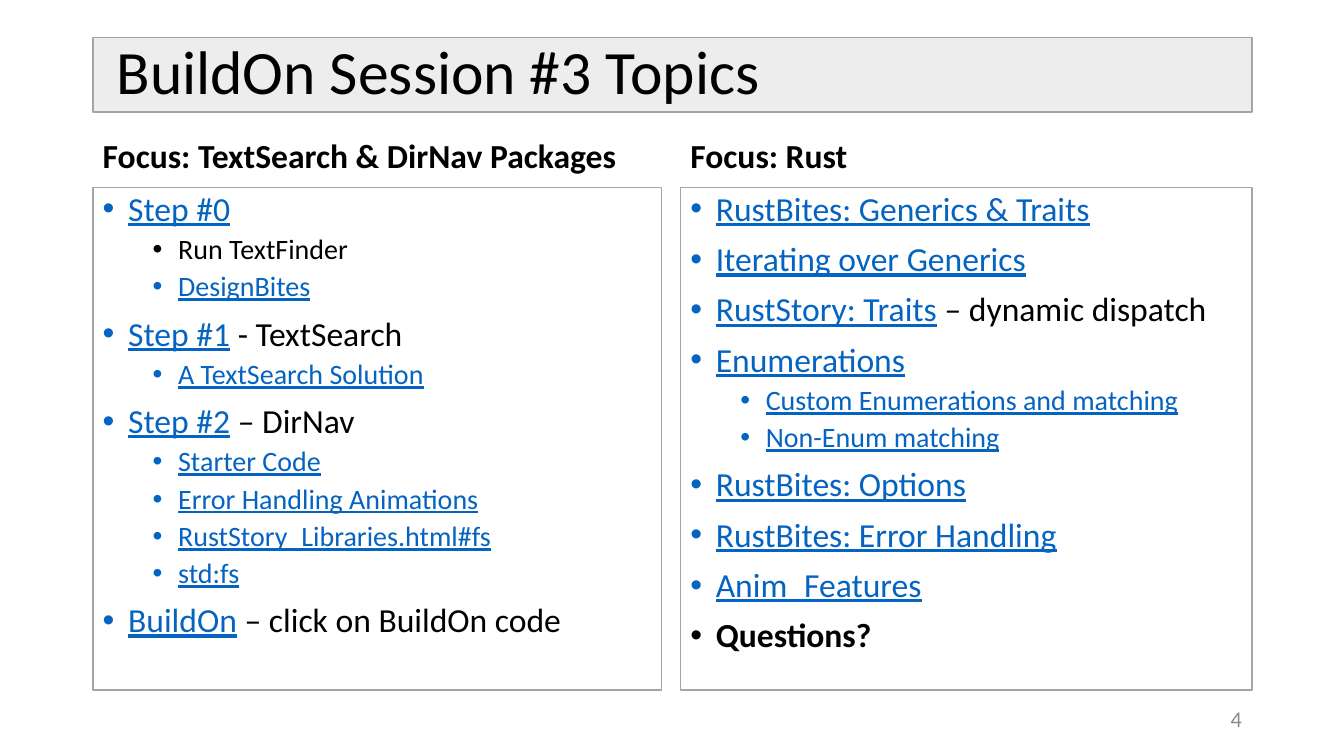
from lxml import etree
from pptx import Presentation
from pptx import util as u
from pptx.dml.color import RGBColor
from pptx.enum import shapes, text
from pptx.oxml import ns

BLACK = RGBColor(0x00, 0x00, 0x00)
WHITE = RGBColor(0xFF, 0xFF, 0xFF)
PALE = RGBColor(0xED, 0xED, 0xED)
EDGE = RGBColor(0xA5, 0xA5, 0xA5)
GRAY = RGBColor(0x8C, 0x8C, 0x8C)
BLUE = RGBColor(0x05, 0x63, 0xC1)

LEFT = [
    (0, "Step #0", ""),
    (1, "", "Run TextFinder"),
    (1, "DesignBites", ""),
    (0, "Step #1", " - TextSearch"),
    (1, "A TextSearch Solution", ""),
    (0, "Step #2", " – DirNav"),
    (1, "Starter Code", ""),
    (1, "Error Handling Animations", ""),
    (1, "RustStory_Libraries.html#fs", ""),
    (1, "std:fs", ""),
    (0, "BuildOn", " – click on BuildOn code"),
]
RIGHT = [
    (0, "RustBites: Generics & Traits", ""),
    (0, "Iterating over Generics", ""),
    (0, "RustStory: Traits", " – dynamic dispatch"),
    (0, "Enumerations", ""),
    (1, "Custom Enumerations and matching", ""),
    (1, "Non-Enum matching", ""),
    (0, "RustBites: Options", ""),
    (0, "RustBites: Error Handling", ""),
    (0, "Anim_Features", ""),
    (0, "", "Questions?"),
]
COLS = [
    (2.34, 14.33, "Focus: TextSearch & DirNav Packages", LEFT),
    (17.15, 14.4, "Focus: Rust", RIGHT),
]


class Board:
    """Hold the style and the current slide, and draw each kind of element."""

    font = "Calibri"
    sizes = (24, 20)
    gaps = (10, 5)
    steps = (0.64, 1.9)
    hang = 0.64

    def __init__(self, slide):
        self.slide = slide

    def style(self, run, size, color=BLACK, bold=False, line=False):
        font = run.font
        font.name, font.size, font.bold = self.font, u.Pt(size), bold
        font.underline = line
        font.color.rgb = color

    def frame(self, shape, anchor):
        frame = shape.text_frame
        frame.word_wrap = True
        frame.vertical_anchor = anchor
        return frame

    def panel(self, area, fill, anchor):
        box = self.slide.shapes.add_shape(
            shapes.MSO_SHAPE.RECTANGLE, *map(u.Cm, area))
        box.shadow.inherit = False
        box.fill.solid()
        box.fill.fore_color.rgb = fill
        box.line.color.rgb = EDGE
        box.line.width = u.Pt(1)
        return self.frame(box, anchor)

    def label(self, area, anchor):
        box = self.slide.shapes.add_textbox(*map(u.Cm, area))
        return self.frame(box, anchor)

    def words(self, frame, line, size, color=BLACK, bold=False,
              align=text.PP_ALIGN.LEFT):
        frame.text = line
        para = frame.paragraphs[0]
        para.alignment = align
        para.line_spacing = 0.9
        self.style(para.runs[0], size, color, bold)

    def bullet(self, para, level):
        para.level = level
        para.alignment = text.PP_ALIGN.LEFT
        para.line_spacing = 0.9
        para.space_before = u.Pt(self.gaps[level])
        props = para._p.get_or_add_pPr()
        props.set("marL", str(u.Cm(self.steps[level])))
        props.set("indent", str(u.Cm(-self.hang)))
        etree.SubElement(props, ns.qn("a:buFont"), typeface="Arial")
        etree.SubElement(props, ns.qn("a:buChar"), char="•")

    def topics(self, area, items):
        frame = self.panel(area, WHITE, text.MSO_ANCHOR.TOP)
        for i, (level, link, tail) in enumerate(items):
            para = frame.add_paragraph() if i else frame.paragraphs[0]
            self.bullet(para, level)
            size = self.sizes[level]
            if link:
                run = para.add_run()
                run.text = link
                self.style(run, size, BLUE, line=True)
            if tail:
                run = para.add_run()
                run.text = tail
                self.style(run, size, bold=tail == "Questions?")


def main():
    deck = Presentation()
    deck.slide_width, deck.slide_height = u.Cm(33.87), u.Cm(19.05)
    board = Board(deck.slides.add_slide(deck.slide_layouts[6]))

    title = board.panel((2.34, 0.94, 29.21, 1.88), PALE,
                        text.MSO_ANCHOR.MIDDLE)
    board.words(title, " BuildOn Session #3 Topics", 44)

    for x, width, head, items in COLS:
        label = board.label((x, 3.2, width, 1.35), text.MSO_ANCHOR.BOTTOM)
        board.words(label, head, 24, bold=True)
        board.topics((x, 4.72, width, 12.67), items)

    number = board.label((23.93, 17.65, 7.62, 1.02), text.MSO_ANCHOR.MIDDLE)
    board.words(number, "4", 16, GRAY, align=text.PP_ALIGN.RIGHT)
    deck.save("out.pptx")


if __name__ == "__main__":
    main()
